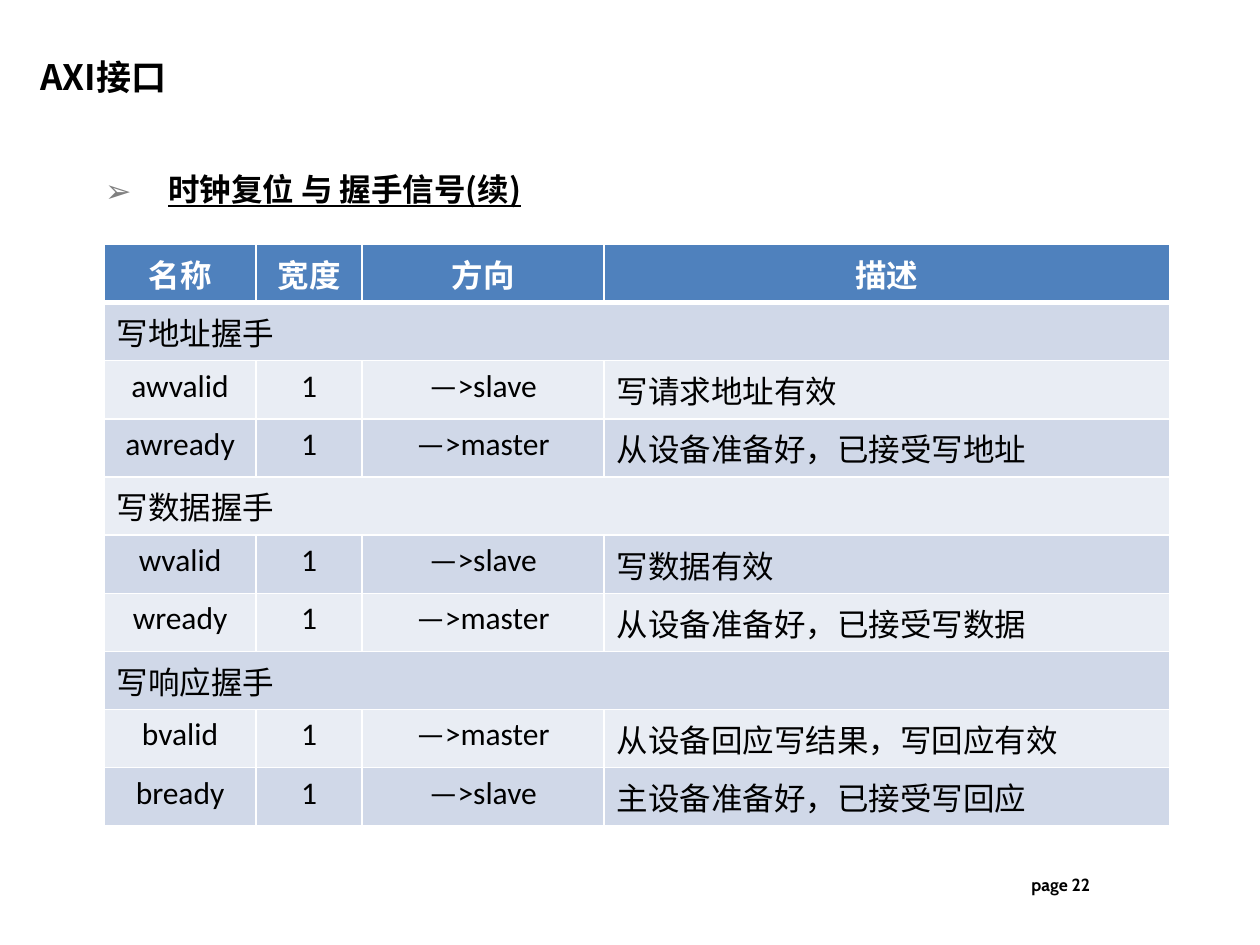
from dataclasses import dataclass

from lxml.etree import SubElement
from pptx import Presentation
from pptx.dml.color import RGBColor
from pptx.enum.text import MSO_ANCHOR, PP_ALIGN
from pptx.oxml.ns import qn
from pptx.util import Pt

COLOURS = {"black": "000000", "white": "FFFFFF", "header": "4F81BD",
           "dark_band": "D0D8E8", "light_band": "E9EDF4", "bullet": "808080"}
CJK_FONT = "Noto Sans CJK SC"
COLUMN_WIDTHS = (87, 60.5, 138.2, 323.3)
ROW_HEIGHT = 33.25


@dataclass
class Label:
    """A text box with one line of text."""
    text: str
    left: float
    top: float
    width: float
    height: float
    font: dict
    frame: dict
    para: dict
    colour: str = "black"


@dataclass
class Signal:
    """One handshake signal."""
    name: str
    direction: str
    description: str
    width: str = "1"

    def cells(self) -> tuple:
        """Return the texts in column order."""
        return self.name, self.width, self.direction, self.description


PAGE_NUMBER = Label("page 22", 462.2, 491, 167.8, 28.8,
                    {"name": "Cabin", "size": Pt(10), "bold": True},
                    {"vertical_anchor": MSO_ANCHOR.MIDDLE}, {"alignment": PP_ALIGN.RIGHT})
TITLE = Label("AXI接口", 17.3, 26.9, 422.6, 31.7,
              {"name": CJK_FONT, "size": Pt(20), "bold": True},
              {"vertical_anchor": MSO_ANCHOR.BOTTOM, "margin_left": Pt(5.8), "margin_right": Pt(5.8),
               "margin_top": Pt(2.9), "margin_bottom": Pt(2.9)}, {})
HEADING = Label("时钟复位 与 握手信号(续)", 17, 82.8, 676, 36,
                {"name": CJK_FONT, "size": Pt(18), "bold": True, "underline": True},
                {}, {"level": 1, "line_spacing": 1.5})

HEADER = ("名称", "宽度", "方向", "描述")
GROUPS = {
    "写地址握手": (Signal("awvalid", "—>slave", "写请求地址有效"),
              Signal("awready", "—>master", "从设备准备好，已接受写地址")),
    "写数据握手": (Signal("wvalid", "—>slave", "写数据有效"),
              Signal("wready", "—>master", "从设备准备好，已接受写数据")),
    "写响应握手": (Signal("bvalid", "—>master", "从设备回应写结果，写回应有效"),
              Signal("bready", "—>slave", "主设备准备好，已接受写回应")),
}


def apply(target, values: dict) -> None:
    """Set every named attribute on the target."""
    for name, value in values.items():
        setattr(target, name, value)


def add_span(para, text: str, font: dict, colour: str) -> None:
    """Add formatted text with a Chinese font beside the Latin one."""
    span = para.add_run()
    span.text = text
    apply(span.font, font)
    span.font.color.rgb = RGBColor.from_string(COLOURS[colour])
    SubElement(span.font._element, qn("a:ea"), typeface=CJK_FONT)


def add_label(page, label: Label):
    """Draw a label and return its paragraph."""
    box = page.shapes.add_textbox(Pt(label.left), Pt(label.top), Pt(label.width), Pt(label.height))
    apply(box.text_frame, {"word_wrap": True, **label.frame})
    para = box.text_frame.paragraphs[0]
    apply(para, label.para)
    add_span(para, label.text, label.font, label.colour)
    return para


def add_bullet(para, symbol: str, colour: str) -> None:
    """Give a paragraph a hanging bullet."""
    properties = para._p.get_or_add_pPr()
    properties.set("marL", str(Pt(72)))
    properties.set("indent", str(Pt(-36)))
    SubElement(SubElement(properties, qn("a:buClr")), qn("a:srgbClr"), val=COLOURS[colour])
    SubElement(properties, qn("a:buFont"), typeface=CJK_FONT)
    SubElement(properties, qn("a:buChar"), char=symbol)


def add_borders(cell, top: float, bottom: float) -> None:
    """Draw white borders round a cell."""
    properties = cell._tc.get_or_add_tcPr()
    for side, weight in {"L": 1, "R": 1, "T": top, "B": bottom}.items():
        line = SubElement(properties, qn(f"a:ln{side}"), w=str(Pt(weight)))
        SubElement(SubElement(line, qn("a:solidFill")), qn("a:srgbClr"), val=COLOURS["white"])


def fill_row(table, index: int, texts: tuple) -> None:
    """Format and write one table row, merging it when it has a single text."""
    is_header = index == 0
    fill = "header" if is_header else "dark_band" if index % 2 else "light_band"
    font = {"name": "Calibri", "size": Pt(18), "bold": is_header}
    cells = [table.cell(index, column) for column in range(len(HEADER))]
    if len(texts) == 1:
        cells[0].merge(cells[-1])
    for cell in cells:
        add_borders(cell, 3 if index == 1 else 1, 3 if is_header else 1)
        cell.fill.solid()
        cell.fill.fore_color.rgb = RGBColor.from_string(COLOURS[fill])
    for cell, text in zip(cells, texts):
        para = cell.text_frame.paragraphs[0]
        centred = is_header or (len(texts) > 1 and cell is not cells[-1])
        para.alignment = PP_ALIGN.CENTER if centred else PP_ALIGN.LEFT
        add_span(para, text, font, "white" if is_header else "black")


def add_signal_table(page) -> None:
    """Draw the table of handshake signals."""
    rows = [HEADER]
    for group, signals in GROUPS.items():
        rows += [(group,), *(signal.cells() for signal in signals)]
    table = page.shapes.add_table(len(rows), len(HEADER), Pt(59.4), Pt(139.7),
                                  Pt(sum(COLUMN_WIDTHS)), Pt(ROW_HEIGHT * len(rows))).table
    apply(table, {"first_row": False, "horz_banding": False})
    for column, width in zip(table.columns, COLUMN_WIDTHS):
        column.width = Pt(width)
    for row in table.rows:
        row.height = Pt(ROW_HEIGHT)
    for index, texts in enumerate(rows):
        fill_row(table, index, texts)


def main() -> None:
    """Build and save the slide."""
    deck = Presentation()
    apply(deck, {"slide_width": Pt(720), "slide_height": Pt(540)})
    page = deck.slides.add_slide(deck.slide_layouts[6])
    add_label(page, PAGE_NUMBER)
    add_label(page, TITLE)
    add_signal_table(page)
    add_bullet(add_label(page, HEADING), "➢", "bullet")
    deck.save("out.pptx")


if __name__ == "__main__":
    main()
